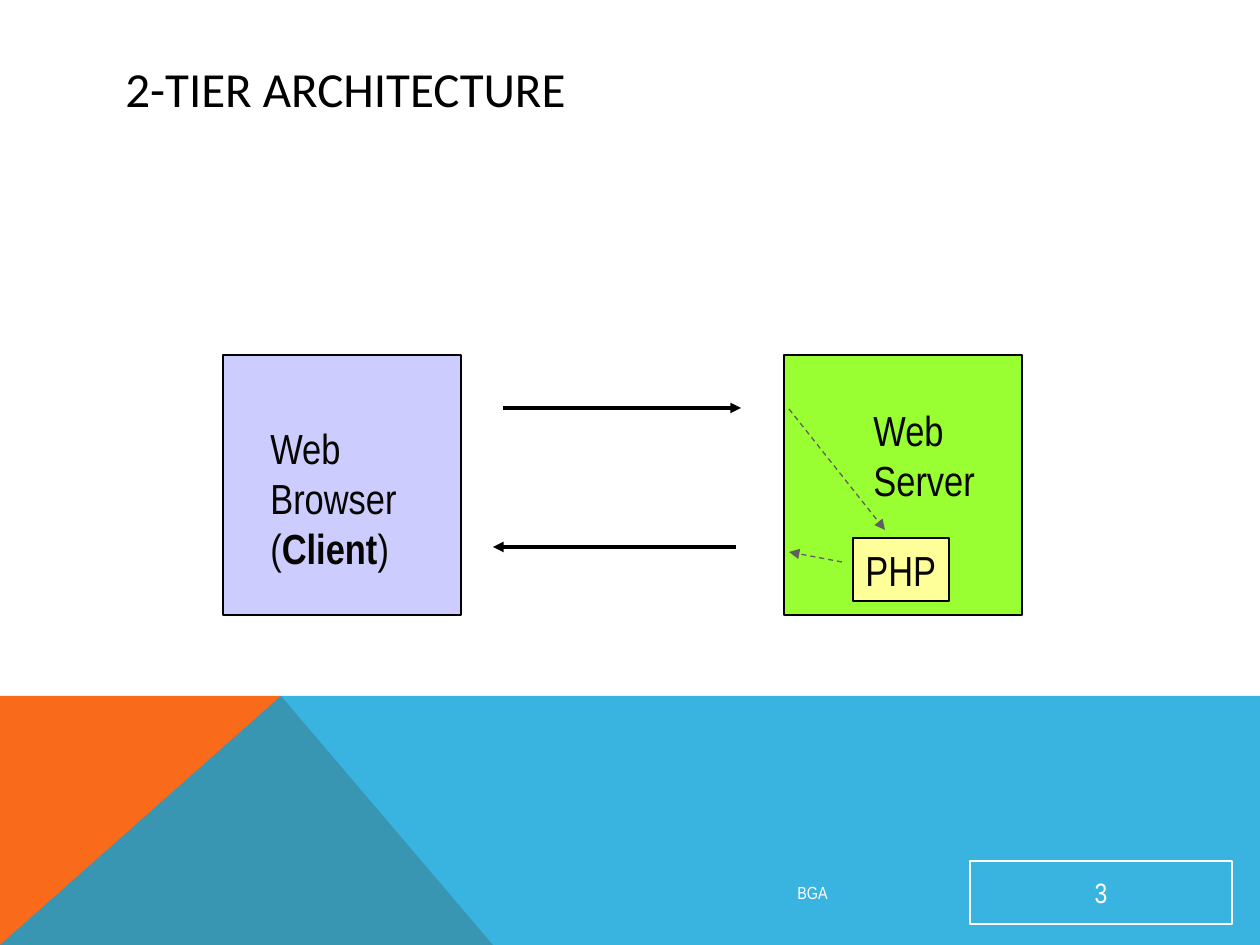
"""Build the 2-tier architecture slide."""
from dataclasses import dataclass
from typing import Optional

from lxml.etree import SubElement
from pptx import Presentation
from pptx.dml.color import RGBColor
from pptx.enum.dml import MSO_LINE_DASH_STYLE as Dash
from pptx.enum.shapes import MSO_CONNECTOR as Link, MSO_SHAPE as Shape
from pptx.enum.text import MSO_ANCHOR as Anchor, MSO_AUTO_SIZE as Fit, PP_ALIGN as Align
from pptx.oxml.ns import qn
from pptx.util import Emu, Pt

EMU_PER_PX = 914400 / 126


@dataclass(frozen=True)
class Theme:
    heading_font: str = "Calibri"
    body_font: str = "Arial Narrow"
    heading_size: int = 28
    label_size: int = 24
    number_size: int = 16
    footer_size: int = 10
    black: str = "000000"
    white: str = "FFFFFF"
    label: str = "070501"
    gray: str = "5F5F5F"
    orange: str = "F96A1B"
    blue: str = "08A1D9"
    client: str = "CCCCFF"
    server: str = "99FF33"
    script: str = "FFFF99"


THEME = Theme()


@dataclass(frozen=True)
class Band:
    points: tuple
    color: str
    opacity: int = 100


@dataclass(frozen=True)
class Block:
    area: tuple
    fill: Optional[str] = None
    line: str = THEME.black
    weight: float = 0.75


@dataclass(frozen=True)
class Label:
    area: tuple
    spans: tuple
    size: int = THEME.label_size
    color: str = THEME.label
    font: str = THEME.body_font
    align: Align = Align.LEFT
    anchor: Anchor = Anchor.TOP
    wrap: bool = True


@dataclass(frozen=True)
class Arrow:
    start: tuple
    end: tuple
    color: str = THEME.black
    weight: float = 2
    dash: Optional[Dash] = None


SCRIPT_AREA = (853, 538, 96, 63)
NUMBER_AREA = (970, 861, 262, 63)

BANDS = (
    Band(((0, 945), (0, 696), (281, 696), (493, 945)), THEME.orange),
    Band(((0, 945), (281, 696), (1260, 696), (1260, 945)), THEME.blue, 80),
)
BLOCKS = (
    Block(NUMBER_AREA, line=THEME.white, weight=1.5),
    Block((223, 355, 238, 260), THEME.client),
    Block((784, 355, 238, 260), THEME.server),
    Block(SCRIPT_AREA, THEME.script),
)
LABELS = (
    Label((113, 50, 1037, 76), (("2-TIER ARCHITECTURE", False),), THEME.heading_size,
          THEME.black, THEME.heading_font, anchor=Anchor.MIDDLE),
    Label((441, 861, 399, 63), (("BGA", False),), THEME.footer_size, THEME.white,
          align=Align.RIGHT, anchor=Anchor.MIDDLE),
    Label(NUMBER_AREA, (("3", False),), THEME.number_size, THEME.white,
          align=Align.CENTER, anchor=Anchor.MIDDLE),
    Label((258, 416, 151, 164),
          (("Web\vBrowser\v(", False), ("Client", True), (")", False)), wrap=False),
    Label((861, 398, 135, 164), (("Web\vServer", False),)),
    Label(SCRIPT_AREA, (("PHP", False),), wrap=False),
)
ARROWS = (
    Arrow((503, 408), (741, 408)),
    Arrow((736, 547), (493, 547)),
    Arrow((789, 409), (885, 530), THEME.gray, 0.75, Dash.DASH),
    Arrow((842, 562), (789, 552), THEME.gray, 0.75, Dash.DASH),
)


def px(*lengths: int) -> list[Emu]:
    """Turn pixel lengths into EMU."""
    return [Emu(round(length * EMU_PER_PX)) for length in lengths]


def paint(fill, color: str) -> None:
    """Give a fill one solid color."""
    fill.solid()
    fill.fore_color.rgb = RGBColor.from_string(color)


def draw_band(page, band: Band) -> None:
    """Draw one slanted area of the footer."""
    builder = page.shapes.build_freeform(*band.points[0], scale=EMU_PER_PX)
    builder.add_line_segments(band.points[1:], close=True)
    shape = builder.convert_to_shape()
    shape.shadow.inherit = False
    shape.line.fill.background()
    paint(shape.fill, band.color)
    if band.opacity < 100:
        color = shape.fill._xPr.find(qn("a:solidFill"))[0]
        SubElement(color, qn("a:alpha"), val=str(band.opacity * 1000))


def draw_block(page, block: Block) -> None:
    """Draw one outlined rectangle."""
    shape = page.shapes.add_shape(Shape.RECTANGLE, *px(*block.area))
    shape.shadow.inherit = False
    if block.fill:
        paint(shape.fill, block.fill)
    else:
        shape.fill.background()
    paint(shape.line.fill, block.line)
    shape.line.width = Pt(block.weight)


def draw_label(page, label: Label) -> None:
    """Write one text box."""
    frame = page.shapes.add_textbox(*px(*label.area)).text_frame
    frame_format = {"word_wrap": label.wrap, "auto_size": Fit.NONE,
                    "vertical_anchor": label.anchor}
    for name, value in frame_format.items():
        setattr(frame, name, value)
    para = frame.paragraphs[0]
    para.alignment = label.align
    for text, bold in label.spans:
        pieces = text.split("\v")
        for index, piece in enumerate(pieces):
            if index:
                para.add_line_break()
            span = para.add_run()
            span.text = piece
            span_format = {"name": label.font, "size": Pt(label.size), "bold": bold}
            for name, value in span_format.items():
                setattr(span.font, name, value)
            span.font.color.rgb = RGBColor.from_string(label.color)


def draw_arrow(page, arrow: Arrow) -> None:
    """Draw one line with a triangle at its end."""
    link = page.shapes.add_connector(Link.STRAIGHT, *px(*arrow.start, *arrow.end))
    paint(link.line.fill, arrow.color)
    line_format = {"width": Pt(arrow.weight), "dash_style": arrow.dash}
    for name, value in line_format.items():
        setattr(link.line, name, value)
    SubElement(link.line._get_or_add_ln(), qn("a:tailEnd"), type="triangle")
    SubElement(link._element.spPr, qn("a:effectLst"))


def main() -> None:
    """Assemble and save the deck."""
    deck = Presentation()
    deck.slide_width, deck.slide_height = px(1260, 945)
    page = deck.slides.add_slide(deck.slide_layouts[6])
    paint(page.background.fill, THEME.white)
    for draw, items in ((draw_band, BANDS), (draw_block, BLOCKS),
                        (draw_label, LABELS), (draw_arrow, ARROWS)):
        for item in items:
            draw(page, item)
    deck.save("out.pptx")


if __name__ == "__main__":
    main()
